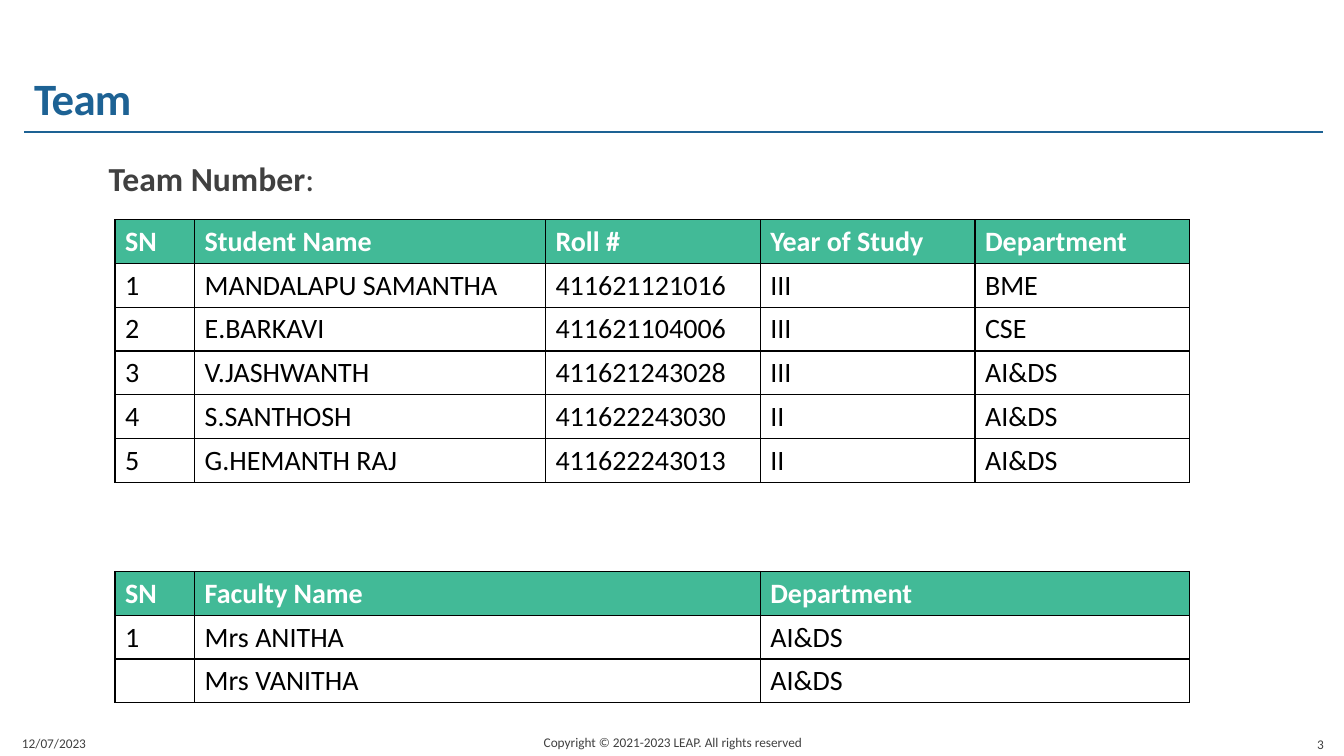
"""Build the Team slide with its student and faculty tables."""
from lxml.etree import SubElement
from pptx import Presentation
from pptx.dml.color import RGBColor
from pptx.enum.shapes import MSO_CONNECTOR as CONN
from pptx.enum.text import MSO_ANCHOR as ANCHOR, PP_ALIGN as ALIGN
from pptx.oxml.ns import qn
from pptx.util import Inches, Pt

THEME = {
    "font": "Calibri",
    "blue": "1D6294", "gray": "404040", "green": "42BA97",
    "white": "FFFFFF", "black": "000000",
    "title": 32, "heading": 24, "cell": 20, "footer": 9.5, "line": 1,
}

TITLE = "Team"
HEADING = [("Team Number", True), (":", False)]
FOOTERS = [
    ("12/07/2023", (0.12, 7.1, 2.7, 0.4), ALIGN.LEFT),
    ("Copyright © 2021-2023 LEAP. All rights reserved", (4.04, 7.09, 5.27, 0.4), ALIGN.CENTER),
    ("3", (11.8, 7.11, 1.43, 0.4), ALIGN.RIGHT),
]
STUDENTS = [
    ("SN", "Student Name", "Roll #", "Year of Study", "Department"),
    ("1", "MANDALAPU SAMANTHA", "411621121016", "III", "BME"),
    ("2", "E.BARKAVI", "411621104006", "III", "CSE"),
    ("3", "V.JASHWANTH", "411621243028", "III", "AI&DS"),
    ("4", "S.SANTHOSH", "411622243030", "II", "AI&DS"),
    ("5", "G.HEMANTH RAJ", "411622243013", "II", "AI&DS"),
]
FACULTY = [
    ("SN", "Faculty Name", "Department"),
    ("1", "Mrs ANITHA", "AI&DS"),
    ("", "Mrs VANITHA", "AI&DS"),
]
TABLE_LEFT, ROW_HEIGHT = 1.14, 0.43
TABLES = [
    (STUDENTS, 2.18, (0.79, 3.48, 2.13, 2.13, 2.13)),
    (FACULTY, 5.67, (0.79, 5.61, 4.26)),
]


def color(name):
    return RGBColor.from_string(THEME[name])


def add_run(p, text, size, ink, bold=False):
    r = p.add_run()
    r.text = text
    r.font.name = THEME["font"]
    r.font.size = Pt(THEME[size])
    r.font.bold = bold
    r.font.color.rgb = color(ink)
    return r


def add_text(slide, box, runs, size, ink, anchor=ANCHOR.BOTTOM, align=ALIGN.LEFT):
    tf = slide.shapes.add_textbox(*map(Inches, box)).text_frame
    tf.word_wrap = True
    tf.vertical_anchor = anchor
    p = tf.paragraphs[0]
    p.alignment = align
    for text, bold in runs:
        add_run(p, text, size, ink, bold)
    return p


def add_borders(cell):
    tc_pr = cell._tc.get_or_add_tcPr()
    for i, side in enumerate(("lnL", "lnR", "lnT", "lnB")):
        ln = tc_pr.makeelement(qn(f"a:{side}"), {"w": str(Pt(THEME["line"]))})
        fill = SubElement(ln, qn("a:solidFill"))
        SubElement(fill, qn("a:srgbClr"), val=THEME["black"])
        tc_pr.insert(i, ln)


def add_table(slide, rows, top, widths):
    box = (TABLE_LEFT, top, sum(widths), ROW_HEIGHT * len(rows))
    table = slide.shapes.add_table(len(rows), len(widths), *map(Inches, box)).table
    table.first_row = table.horz_banding = False
    for column, width in zip(table.columns, widths):
        column.width = Inches(width)
    for i, row in enumerate(rows):
        header = i == 0
        for j, text in enumerate(row):
            cell = table.cell(i, j)
            cell.fill.solid()
            cell.fill.fore_color.rgb = color("green" if header else "white")
            add_borders(cell)
            if text:
                ink = "white" if header else "black"
                add_run(cell.text_frame.paragraphs[0], text, "cell", ink, header)


def main():
    prs = Presentation()
    prs.slide_width, prs.slide_height = Inches(13.33), Inches(7.5)
    s = prs.slides.add_slide(prs.slide_layouts[6])

    rule = s.shapes.add_connector(CONN.STRAIGHT, *map(Inches, (0.24, 1.31, 13.12, 1.31)))
    rule.line.color.rgb = color("blue")
    rule.line.width = Pt(THEME["line"])
    SubElement(rule._element.spPr, qn("a:effectLst"))

    p = add_text(s, (0.24, 0.39, 12.88, 0.9), [(TITLE, True)], "title", "blue")
    p.line_spacing = 0.85
    p.runs[0].font._element.set("spc", "-50")

    for text, box, align in FOOTERS:
        add_text(s, box, [(text, False)], "footer", "gray", align=align)
    add_text(s, (0.98, 1.52, 6.67, 0.5), HEADING, "heading", "gray", ANCHOR.TOP)
    for rows, top, widths in TABLES:
        add_table(s, rows, top, widths)

    prs.save("out.pptx")


if __name__ == "__main__":
    main()
